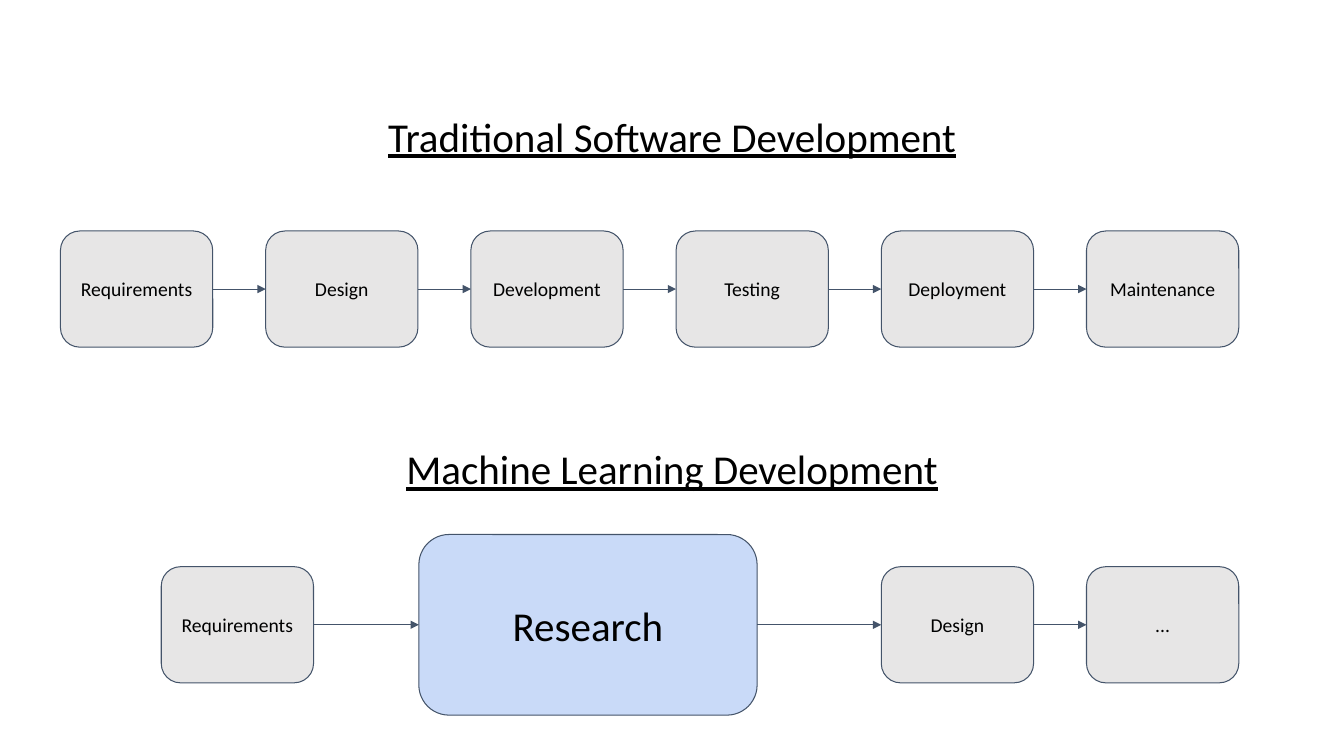
import pptx
import pptx.dml.color
import pptx.enum.shapes
import pptx.enum.text
import pptx.oxml.ns
import pptx.util
from lxml import etree

Pt = pptx.util.Pt
BLACK = pptx.dml.color.RGBColor(0x00, 0x00, 0x00)
GREY = pptx.dml.color.RGBColor(0xE7, 0xE6, 0xE6)
BLUE = pptx.dml.color.RGBColor(0xC9, 0xDA, 0xF8)
SLATE = pptx.dml.color.RGBColor(0x44, 0x54, 0x6A)

SLIDE_WIDTH, SLIDE_HEIGHT = 960, 540
TITLE_WIDTH, TITLE_HEIGHT = 484.6, 37.4
STEP_WIDTH, STEP_HEIGHT = 108.8, 83
FIRST_STEP, STEP_PITCH = 43.2, 146.58
LARGE = 29.3


def write(holder, text, size=14, underline=False, anchor=pptx.enum.text.MSO_ANCHOR.MIDDLE):
    """Put one centred paragraph of formatted text into a shape."""
    frame = holder.text_frame
    frame.word_wrap = True
    frame.vertical_anchor = anchor
    frame.margin_left = frame.margin_right = Pt(9.6)
    frame.margin_top = frame.margin_bottom = Pt(9.6)
    paragraph = frame.paragraphs[0]
    paragraph.alignment = pptx.enum.text.PP_ALIGN.CENTER
    run = paragraph.add_run()
    run.text = text
    run.font.name = "Calibri"
    run.font.size = Pt(size)
    run.font.underline = underline
    run.font.color.rgb = BLACK


def add_step(slide, label, left, middle, width=STEP_WIDTH, height=STEP_HEIGHT, fill=GREY, size=14):
    """Draw a rounded step centred vertically on the given middle."""
    step = slide.shapes.add_shape(
        pptx.enum.shapes.MSO_SHAPE.ROUNDED_RECTANGLE,
        Pt(left), Pt(middle - height / 2), Pt(width), Pt(height))
    step.shadow.inherit = False
    step.fill.solid()
    step.fill.fore_color.rgb = fill
    step.line.color.rgb = SLATE
    step.line.width = Pt(0.75)
    write(step, label, size=size)
    return step


def add_arrow(slide, source, target):
    """Join the right side of one step to the left side of the next."""
    arrow = slide.shapes.add_connector(pptx.enum.shapes.MSO_CONNECTOR.STRAIGHT, 0, 0, 0, 0)
    arrow.begin_connect(source, 3)
    arrow.end_connect(target, 1)
    arrow.line.color.rgb = SLATE
    arrow.line.width = Pt(0.75)
    tip = etree.SubElement(arrow.line._get_or_add_ln(), pptx.oxml.ns.qn("a:tailEnd"))
    tip.set("type", "triangle")
    etree.SubElement(arrow._element.spPr, pptx.oxml.ns.qn("a:effectLst"))


def add_process(slide, title, steps, left, top, width, height):
    """Place a title at the top of the box and a chain of steps in the middle of the rest."""
    heading = slide.shapes.add_textbox(
        Pt(left + (width - TITLE_WIDTH) / 2), Pt(top), Pt(TITLE_WIDTH), Pt(TITLE_HEIGHT))
    write(heading, title, size=LARGE, underline=True, anchor=pptx.enum.text.MSO_ANCHOR.TOP)
    middle = top + (TITLE_HEIGHT + height) / 2
    chain = [add_step(slide, label, left + offset, middle, **style)
             for label, offset, style in steps]
    for source, target in zip(chain, chain[1:]):
        add_arrow(slide, source, target)


def main():
    """Build the comparison of the two development processes."""
    deck = pptx.Presentation()
    deck.slide_width, deck.slide_height = Pt(SLIDE_WIDTH), Pt(SLIDE_HEIGHT)
    slide = deck.slides.add_slide(deck.slide_layouts[6])

    stages = ["Requirements", "Design", "Development", "Testing", "Deployment", "Maintenance"]
    columns = [FIRST_STEP + STEP_PITCH * index for index in range(len(stages))]
    traditional = [(stage, column, {}) for stage, column in zip(stages, columns)]
    research = {"width": 241.6, "height": 129, "fill": BLUE, "size": LARGE}
    learning = [
        ("Requirements", 115.2, {}),
        ("Research", 299.2, research),
        ("Design", columns[4], {}),
        ("...", columns[5], {}),
    ]
    add_process(slide, "Traditional Software Development", traditional, 0, 69.8, SLIDE_WIDTH, 236)
    add_process(slide, "Machine Learning Development", learning, 0, 307.4, SLIDE_WIDTH, 240.4)
    deck.save("out.pptx")


if __name__ == "__main__":
    main()
